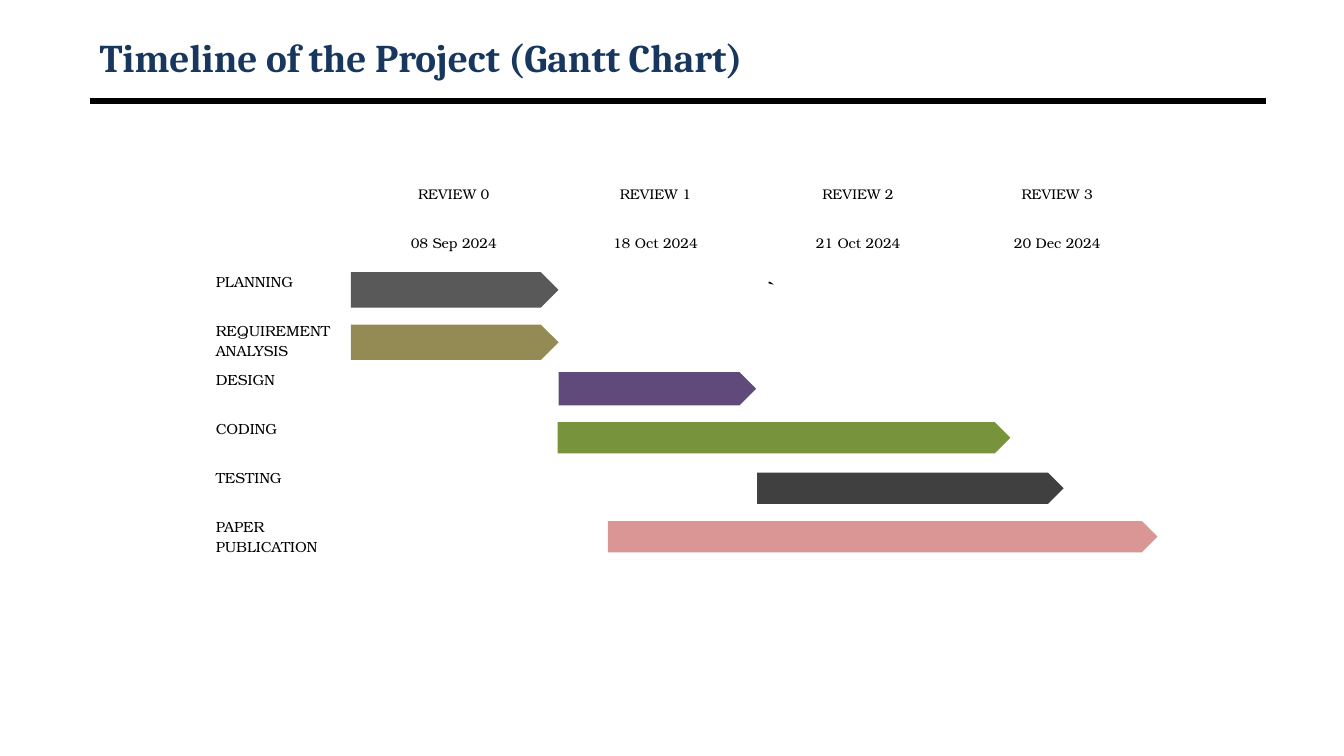
from dataclasses import dataclass

import pptx
import pptx.dml.color
import pptx.enum.shapes
import pptx.enum.text
import pptx.oxml.ns
import pptx.util
from lxml import etree

Inches = pptx.util.Inches
Anchor = pptx.enum.text.MSO_ANCHOR
Align = pptx.enum.text.PP_ALIGN

COLORS = {
    "title": "17375E",
    "text": "000000",
    "planning": "595959",
    "requirement": "948A54",
    "design": "604A7B",
    "coding": "77933C",
    "testing": "404040",
    "paper": "D99694",
}
TITLE_FONT = "Cambria"
TABLE_FONT = "TeX Gyre Bonum"

WIDTH, HEIGHT = 13.33, 7.5
MARGIN = WIDTH / 15
CONTENT_WIDTH = WIDTH - 2 * MARGIN + 0.12

# Gantt grid: one label column, then week columns; two header rows, then tasks
LABEL_WIDTH, WEEK = 1.46, 0.5
LAST_WEEK = 0.45
ROW = 0.486
GRID_LEFT, GRID_TOP = 2.04, 1.68
WEEKS_LEFT = GRID_LEFT + LABEL_WIDTH
SECOND_LEFT = 7.51
HEADER_ROWS = 2
REVIEW_WEEKS = 4


@dataclass
class Review:
    name: str
    date: str


@dataclass
class Task:
    """Start and span are in weeks; drop and thickness are in rows."""
    label: str
    color: str
    start: float
    span: float
    drop: float
    thickness: float


REVIEWS = [
    Review("REVIEW 0", "08 Sep 2024"),
    Review("REVIEW 1", "18 Oct 2024"),
    Review("REVIEW 2", "21 Oct 2024"),
    Review("REVIEW 3", "20 Dec 2024"),
]
TASKS = [
    Task("PLANNING", "planning", -0.04, 4.12, 0.1, 0.72),
    Task("REQUIREMENT ANALYSIS", "requirement", -0.04, 4.12, 0.17, 0.72),
    Task("DESIGN", "design", 4.08, 3.92, 0.14, 0.68),
    Task("CODING", "coding", 4.06, 8.98, 0.16, 0.64),
    Task("TESTING", "testing", 8.02, 6.08, 0.19, 0.64),
    Task("PAPER PUBLICATION", "paper", 5.06, 10.9, 0.18, 0.64),
]


def rgb(name: str) -> pptx.dml.color.RGBColor:
    return pptx.dml.color.RGBColor.from_string(COLORS[name])


def write(frame, text: str, font: str, size: float, color: str,
          bold: bool = False, align=Align.LEFT) -> None:
    frame.text = text
    para = frame.paragraphs[0]
    para.alignment = align
    span = para.runs[0]
    span.font.name = font
    span.font.size = pptx.util.Pt(size)
    span.font.bold = bold
    span.font.color.rgb = rgb(color)


def add_title(page, text: str) -> None:
    box = page.shapes.add_textbox(Inches(MARGIN), Inches(HEIGHT * 0.04),
                                  Inches(CONTENT_WIDTH), Inches(HEIGHT * 0.07))
    box.text_frame.word_wrap = True
    box.text_frame.vertical_anchor = Anchor.MIDDLE
    write(box.text_frame, text, TITLE_FONT, 28, "title", bold=True)


def add_rule(page) -> None:
    rule_top = Inches(HEIGHT * 2 / 15)
    rule = page.shapes.add_connector(
        pptx.enum.shapes.MSO_CONNECTOR.STRAIGHT, Inches(MARGIN), rule_top,
        Inches(MARGIN + CONTENT_WIDTH), rule_top)
    rule.line.color.rgb = rgb("text")
    rule.line.width = pptx.util.Pt(4.5)
    properties = rule._element.spPr
    etree.SubElement(properties, pptx.oxml.ns.qn("a:effectLst"))


def add_grid(page, left: float, widths: list[float]):
    """Add a plain, unfilled table with header and task rows."""
    rows = HEADER_ROWS + len(TASKS)
    table = page.shapes.add_table(
        rows, len(widths), Inches(left), Inches(GRID_TOP),
        Inches(sum(widths)), Inches(ROW * rows)).table
    table.first_row = False
    table.horz_banding = False
    for column, width in zip(table.columns, widths):
        column.width = Inches(width)
    for row in table.rows:
        row.height = Inches(ROW)
    for cell in table.iter_cells():
        cell.fill.background()
    return table


def add_reviews(table, reviews: list[Review], first_column: int) -> None:
    for index, review in enumerate(reviews):
        column = first_column + index * REVIEW_WEEKS
        for row, text in enumerate((review.name, review.date)):
            cell = table.cell(row, column)
            cell.merge(table.cell(row, column + REVIEW_WEEKS - 1))
            cell.vertical_anchor = Anchor.MIDDLE
            write(cell.text_frame, text, TABLE_FONT, 10, "text",
                  align=Align.CENTER)


def add_bar(page, task: Task, index: int) -> None:
    top = GRID_TOP + (HEADER_ROWS + index + task.drop) * ROW
    bar = page.shapes.add_shape(
        pptx.enum.shapes.MSO_SHAPE.PENTAGON,
        Inches(WEEKS_LEFT + task.start * WEEK), Inches(top),
        Inches(task.span * WEEK), Inches(task.thickness * ROW))
    bar.shadow.inherit = False
    bar.fill.solid()
    bar.fill.fore_color.rgb = rgb(task.color)
    bar.line.fill.background()


def main() -> None:
    deck = pptx.Presentation()
    deck.slide_width, deck.slide_height = Inches(WIDTH), Inches(HEIGHT)
    page = deck.slides.add_slide(deck.slide_layouts[6])

    add_rule(page)
    add_title(page, "Timeline of the Project (Gantt Chart)")

    first_half = add_grid(page, GRID_LEFT, [LABEL_WIDTH] + [WEEK] * 8)
    add_reviews(first_half, REVIEWS[:2], first_column=1)
    for index, task in enumerate(TASKS):
        cell = first_half.cell(HEADER_ROWS + index, 0)
        write(cell.text_frame, task.label, TABLE_FONT, 10.5, "text")

    second_half = add_grid(page, SECOND_LEFT, [WEEK] * 7 + [LAST_WEEK])
    add_reviews(second_half, REVIEWS[2:], first_column=0)
    write(second_half.cell(HEADER_ROWS, 0).text_frame, "`", TABLE_FONT, 18,
          "text")

    for index, task in enumerate(TASKS):
        add_bar(page, task, index)

    deck.save("out.pptx")


if __name__ == "__main__":
    main()
